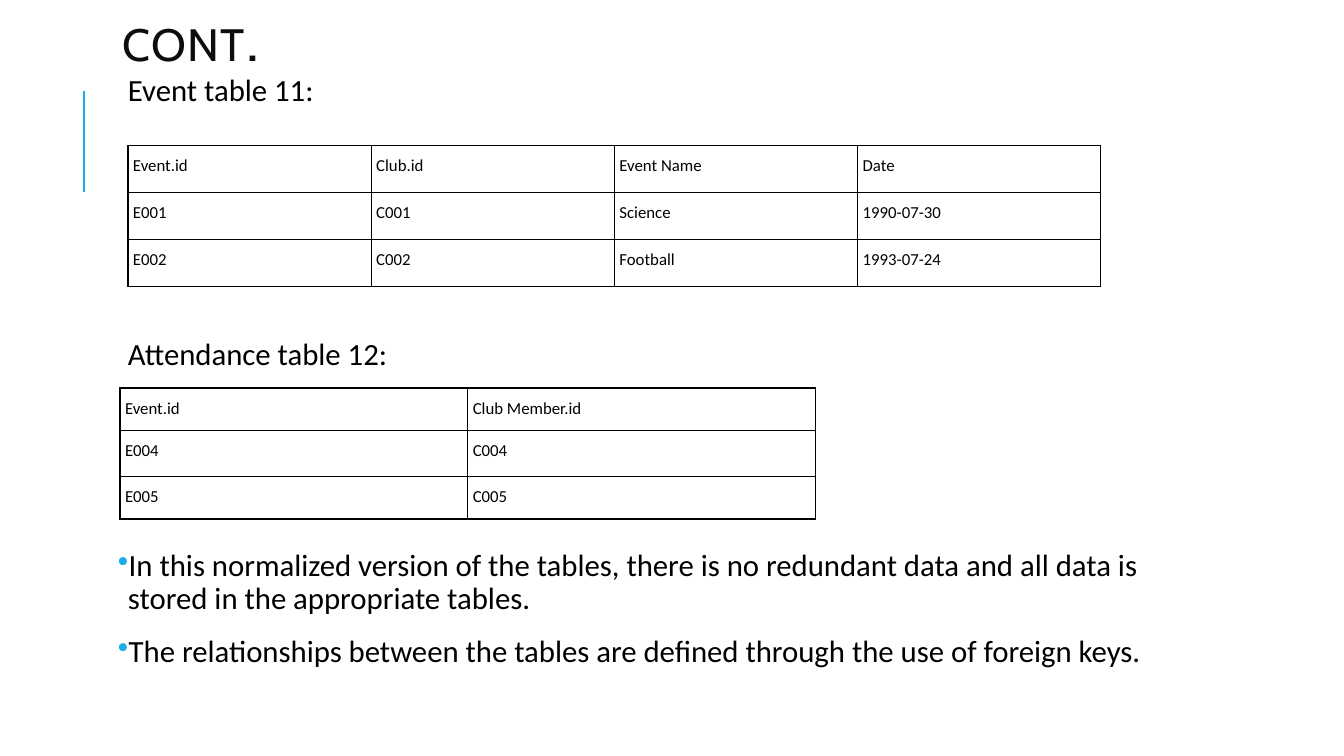
"""Build the slide showing the normalized event and attendance tables."""
from dataclasses import dataclass

from lxml import etree
from pptx import Presentation
from pptx.dml.color import RGBColor
from pptx.enum.shapes import MSO_CONNECTOR
from pptx.enum.text import MSO_ANCHOR
from pptx.oxml.ns import qn
from pptx.util import Pt

STRAIGHT = MSO_CONNECTOR.STRAIGHT
TOP, MIDDLE = MSO_ANCHOR.TOP, MSO_ANCHOR.MIDDLE

TITLE_RUNS = [("CONT", 32.4), (".", 45)]
LABELS = [("Event table 11:", 50), ("Attendance table 12:", 238.4)]
BULLETS = [
    "In this normalized version of the tables, there is no redundant data "
    "and all data is stored in the appropriate tables.",
    "The relationships between the tables are defined through the use of foreign keys.",
]
EVENT_ROWS = [
    ("Event.id", "Club.id", "Event Name", "Date"),
    ("E001", "C001", "Science", "1990-07-30"),
    ("E002", "C002", "Football", "1993-07-24"),
]
ATTENDANCE_ROWS = [
    ("Event.id", "Club Member.id"),
    ("E004", "C004"),
    ("E005", "C005"),
]
TABLES = [
    (EVENT_ROWS, 91.4, 104, 695, (33.6, 33.6, 33.6)),
    (ATTENDANCE_ROWS, 85.7, 277.2, 496.8, (30.4, 32.8, 30.4)),
]
BODY_LEFT, BODY_WIDTH = 80.6, 765.4
BULLETS_TOP = 389.3


@dataclass(frozen=True)
class Theme:
    """Colours, fonts and type sizes."""
    accent: str = "1CADE4"
    title: str = "0D0D0D"
    ink: str = "000000"
    paper: str = "FFFFFF"
    title_font: str = "Cabin"
    body_font: str = "Calibri"
    body_size: float = 22
    cell_size: float = 12


THEME = Theme()


def write_text(frame, paragraphs, font=THEME.body_font, color=THEME.ink, line_spacing=0.9,
               inset=(3.6, 3.6), anchor=TOP, before=0, after=0, indent=0, bullet=None,
               tracking=0):
    """Fill a text frame with paragraphs, each a list of (text, size) runs."""
    frame.word_wrap = True
    frame.vertical_anchor = anchor
    frame.margin_left = frame.margin_right = Pt(inset[0])
    frame.margin_top = frame.margin_bottom = Pt(inset[1])
    for index, runs in enumerate(paragraphs):
        paragraph = frame.add_paragraph() if index else frame.paragraphs[0]
        paragraph.line_spacing = line_spacing
        paragraph.space_before, paragraph.space_after = Pt(before), Pt(after)
        for text, size in runs:
            run = paragraph.add_run()
            run.text = text
            run.font.name, run.font.size = font, Pt(size)
            run.font.color.rgb = RGBColor.from_string(color)
            if tracking:
                run.font._element.set("spc", str(tracking * 100))
        properties = paragraph._p.get_or_add_pPr()
        if indent:
            properties.set("marL", str(Pt(indent)))
            properties.set("indent", str(-Pt(indent) if bullet else 0))
        if bullet:
            bullet_color = etree.SubElement(properties, qn("a:buClr"))
            etree.SubElement(bullet_color, qn("a:srgbClr"), val=THEME.accent)
            etree.SubElement(properties, qn("a:buChar"), char=bullet)


def add_text(slide, left, top, width, height, paragraphs, **text_format):
    """Add a formatted text box."""
    box = slide.shapes.add_textbox(Pt(left), Pt(top), Pt(width), Pt(height))
    write_text(box.text_frame, paragraphs, **text_format)


def style_cell(cell):
    """Give a cell thin borders and a plain fill."""
    properties = cell._tc.get_or_add_tcPr()
    for side in ("a:lnL", "a:lnR", "a:lnT", "a:lnB"):
        border = etree.SubElement(properties, qn(side), w=str(Pt(1)))
        fill = etree.SubElement(border, qn("a:solidFill"))
        etree.SubElement(fill, qn("a:srgbClr"), val=THEME.ink)
    cell.fill.solid()
    cell.fill.fore_color.rgb = RGBColor.from_string(THEME.paper)


def add_data_table(slide, rows, left, top, width, heights):
    """Add a bordered table with equal columns."""
    column_count = len(rows[0])
    table = slide.shapes.add_table(len(rows), column_count, Pt(left), Pt(top),
                                   Pt(width), Pt(sum(heights))).table
    table.first_row = table.horz_banding = False
    for column in table.columns:
        column.width = Pt(width / column_count)
    for row_index, (values, height) in enumerate(zip(rows, heights)):
        table.rows[row_index].height = Pt(height)
        for column_index, value in enumerate(values):
            cell = table.cell(row_index, column_index)
            style_cell(cell)
            cell.margin_left = cell.margin_right = Pt(3.6)
            cell.margin_top = cell.margin_bottom = Pt(0)
            write_cell(cell, value)


def write_cell(cell, value):
    """Write one value into a table cell."""
    paragraph = cell.text_frame.paragraphs[0]
    paragraph.line_spacing = 1.5
    run = paragraph.add_run()
    run.text = value
    run.font.name, run.font.size = THEME.body_font, Pt(THEME.cell_size)
    run.font.color.rgb = RGBColor.from_string(THEME.ink)


def add_accent_line(slide):
    """Add the vertical accent line at the left."""
    line = slide.shapes.add_connector(STRAIGHT, Pt(60), Pt(137), Pt(60), Pt(65))
    line.line.color.rgb = RGBColor.from_string(THEME.accent)
    line.line.width = Pt(1.5)
    etree.SubElement(line._element.spPr, qn("a:effectLst"))


def main():
    """Assemble and save the slide."""
    presentation = Presentation()
    presentation.slide_width, presentation.slide_height = Pt(960), Pt(540)
    slide = presentation.slides.add_slide(presentation.slide_layouts[6])
    add_accent_line(slide)
    add_text(slide, BODY_LEFT, 12.2, BODY_WIDTH, 37.4, [TITLE_RUNS], font=THEME.title_font,
             color=THEME.title, line_spacing=0.8, inset=(7.2, 3.6), anchor=MIDDLE, tracking=1)
    for label, top in LABELS:
        add_text(slide, BODY_LEFT, top, BODY_WIDTH, 32, [[(label, THEME.body_size)]], indent=7.2)
    add_text(slide, BODY_LEFT, BULLETS_TOP, BODY_WIDTH, 100,
             [[(text, THEME.body_size)] for text in BULLETS],
             before=12, after=2, indent=7.2, bullet="•")
    for table in TABLES:
        add_data_table(slide, *table)
    presentation.save("out.pptx")


if __name__ == "__main__":
    main()
